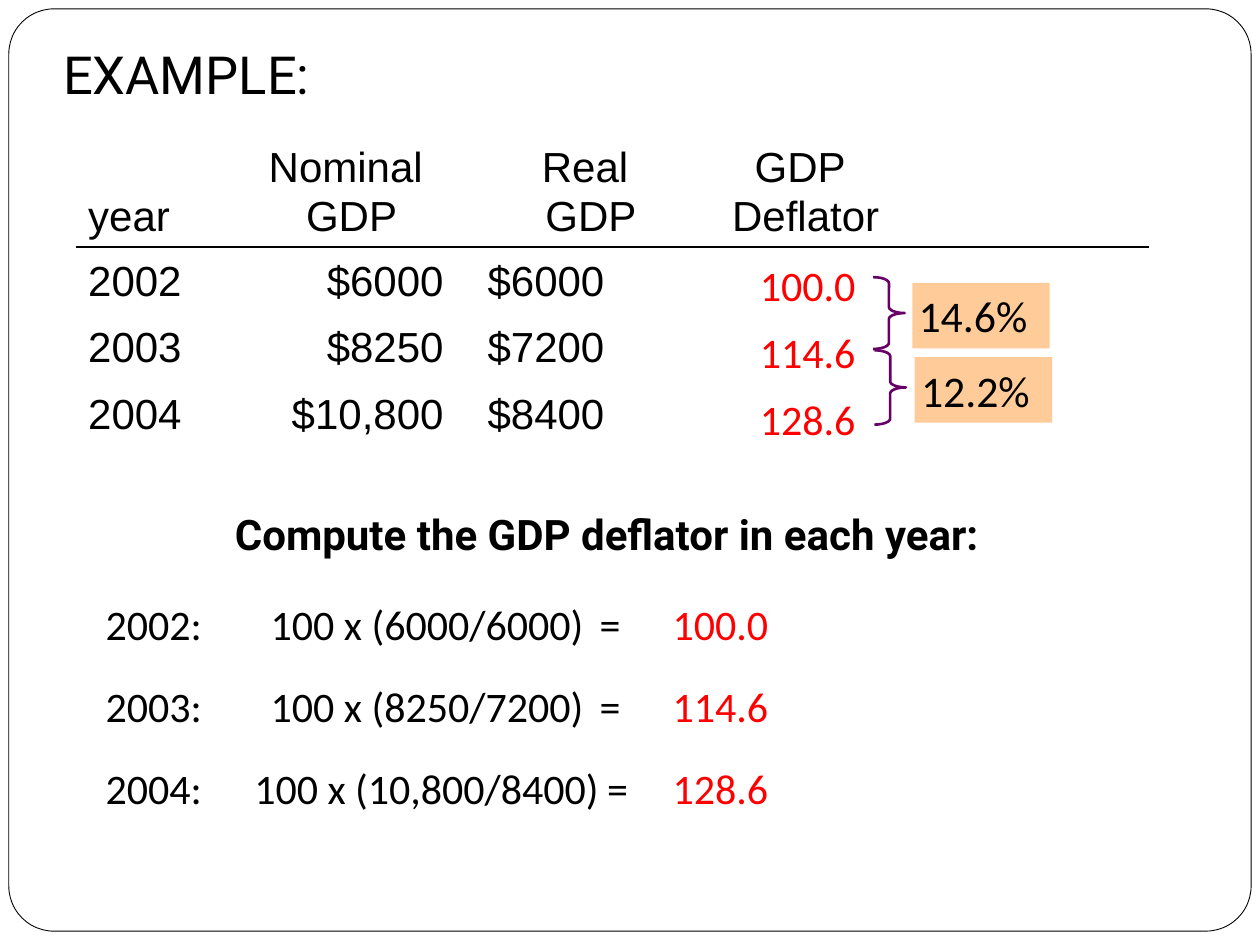
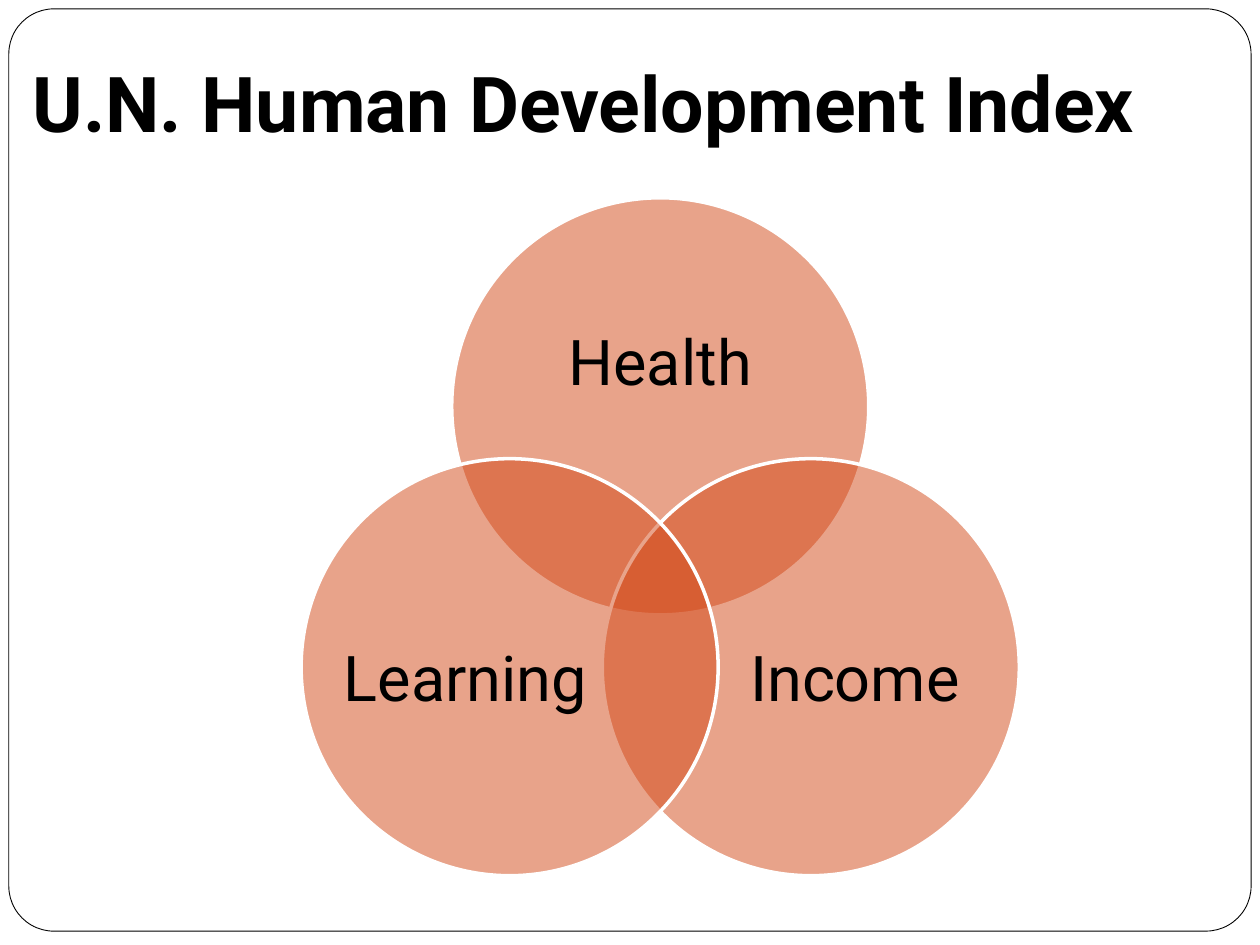
from dataclasses import dataclass
from math import cos, radians, sin

from lxml import etree
from pptx import Presentation
from pptx.dml.color import RGBColor
from pptx.enum.shapes import MSO_SHAPE
from pptx.enum.text import MSO_ANCHOR, PP_ALIGN
from pptx.oxml.ns import qn
from pptx.util import Inches, Pt

LEFT, CENTER, RIGHT = PP_ALIGN.LEFT, PP_ALIGN.CENTER, PP_ALIGN.RIGHT
TOP, MIDDLE, BOTTOM = MSO_ANCHOR.TOP, MSO_ANCHOR.MIDDLE, MSO_ANCHOR.BOTTOM
ROUNDED, RECTANGLE = MSO_SHAPE.ROUNDED_RECTANGLE, MSO_SHAPE.RECTANGLE
BRACE, OVAL = MSO_SHAPE.RIGHT_BRACE, MSO_SHAPE.OVAL


@dataclass(frozen=True)
class Theme:
    ink: str = "000000"
    paper: str = "FFFFFF"
    result: str = "FF0000"
    brace: str = "660066"
    tag: str = "FFCC99"
    circle: str = "D34817"
    heading_font: str = "Roboto"
    table_font: str = "Arial"
    body_font: str = "Calibri"
    example_size: int = 30
    index_size: int = 44
    venn_size: int = 36
    body_size: int = 24
    tag_size: int = 25
    spacing: float = 1.05
    tight_spacing: float = 0.9


THEME = Theme()
NO_TABLE_STYLE = "{2D5ABB26-0587-4C30-8999-92F81FD0307C}"
YEARS = ("2002", "2003", "2004")
DEFLATORS = ("100.0", "114.6", "128.6")


def rgb(color):
    return RGBColor.from_string(color)


def style(para, font, size, color=THEME.ink, bold=False, align=LEFT, spacing=None):
    para.font.name, para.font.size, para.font.bold = font, Pt(size), bold
    para.font.color.rgb = rgb(color)
    para.alignment = align
    if spacing:
        para.line_spacing = spacing


def set_margins(frame, margin):
    frame.margin_left = frame.margin_right = Inches(margin)
    frame.margin_top = frame.margin_bottom = Inches(margin)


def add_text(page, box, text, font, size, anchor=TOP, margin=None, **look):
    frame = page.shapes.add_textbox(*map(Inches, box)).text_frame
    frame.word_wrap = True
    frame.vertical_anchor = anchor
    if margin is not None:
        set_margins(frame, margin)
    para = frame.paragraphs[0]
    para.text = text
    style(para, font, size, **look)
    return para


def add_figure(page, kind, box, fill=None, line=None, width=1):
    figure = page.shapes.add_shape(kind, *map(Inches, box))
    figure.shadow.inherit = False
    if fill:
        figure.fill.solid()
        figure.fill.fore_color.rgb = rgb(fill)
    else:
        figure.fill.background()
    if line:
        figure.line.color.rgb = rgb(line)
        figure.line.width = Pt(width)
    else:
        figure.line.fill.background()
    return figure


def add_page(deck):
    """Add a blank slide with the rounded frame that all slides share."""
    page = deck.slides.add_slide(deck.slide_layouts[6])
    frame = add_figure(page, ROUNDED, (0.07, 0.07, 9.86, 7.32),
                       THEME.paper, THEME.ink, 0.5)
    frame.adjustments[0] = 0.049
    return page


def underline_cell(cell):
    line = etree.Element(qn("a:lnB"), w=str(Pt(1)))
    fill = etree.SubElement(line, qn("a:solidFill"))
    etree.SubElement(fill, qn("a:srgbClr"), val=THEME.ink)
    cell._tc.get_or_add_tcPr().insert(0, line)


def add_gdp_table(page, box):
    rows = [("year", "Nominal \vGDP", "Real \vGDP", "GDP \vDeflator", ""),
            ("2002", "$6000", "$6000", "", ""),
            ("2003", "$8250", "$7200", "", ""),
            ("2004", "$10,800", "$8400", "", "")]
    nominal = 1
    table = page.shapes.add_table(len(rows), len(rows[0]), *map(Inches, box)).table
    table._tbl.tblPr.find(qn("a:tableStyleId")).text = NO_TABLE_STYLE
    table.first_row = table.horz_banding = False
    for column, width in zip(table.columns, (1.21, 1.96, 1.84, 1.57, 1.94)):
        column.width = Inches(width)
    for row, height in zip(table.rows, (0.88, 0.53, 0.53, 0.53)):
        row.height = Inches(height)
    for r, values in enumerate(rows):
        for c, value in enumerate(values):
            cell = table.cell(r, c)
            cell.fill.background()
            cell.vertical_anchor = MIDDLE if r else BOTTOM
            align = LEFT
            if r == 0:
                underline_cell(cell)
                align = CENTER if c else LEFT
            elif c == nominal:
                cell.margin_right = Inches(0.25)
                align = RIGHT
            para = cell.text_frame.paragraphs[0]
            para.text = value
            style(para, THEME.table_font, THEME.body_size,
                  align=align, spacing=THEME.spacing)


def add_deflator_column(page, box):
    left, top, width, step = box
    for row, value in enumerate(DEFLATORS):
        add_text(page, (left, top + row * step, width, 0.48), value,
                 THEME.body_font, THEME.body_size, MIDDLE, color=THEME.result,
                 align=CENTER, spacing=THEME.spacing)


def add_inflation_tag(page, box, rate):
    """Draw a brace over two deflators and the tag with the rate beside it."""
    left, top, width, height = box
    brace = add_figure(page, BRACE, (left, top, 0.25, height),
                       line=THEME.brace, width=1.5)
    brace.adjustments[0] = 0.19
    tag_width, tag_height = 1.09, 0.52
    tag = add_figure(page, RECTANGLE,
                     (left + width - tag_width, top + (height - tag_height) / 2 + 0.02,
                      tag_width, tag_height), THEME.tag)
    set_margins(tag.text_frame, 0.05)
    tag.text_frame.vertical_anchor = TOP
    para = tag.text_frame.paragraphs[0]
    para.text = rate
    style(para, THEME.body_font, THEME.tag_size)


def add_tab_stops(para, stops):
    tabs = etree.Element(qn("a:tabLst"))
    for stop in stops:
        etree.SubElement(tabs, qn("a:tab"), pos=str(Inches(stop)), algn="l")
    props = para._p.get_or_add_pPr()
    props.insert(list(props).index(props.find(qn("a:defRPr"))), tabs)


def add_calculations(page, box):
    left, top, width, step = box
    formulas = [("100 x (6000/6000)", 1.31, 3.92),
                ("100 x (8250/7200)", 1.31, 3.92),
                ("100 x (10,800/8400)", 1.18, 3.98)]
    lines = zip(YEARS, formulas, DEFLATORS)
    for row, (year, (formula, formula_stop, equals_stop), value) in enumerate(lines):
        para = add_text(page, (left, top + row * step, width, 0.59),
                        f"{year}:\t{formula}\t=\t", THEME.body_font,
                        THEME.body_size, spacing=THEME.spacing)
        add_tab_stops(para, (formula_stop, equals_stop, 4.5))
        span = para.add_run()
        span.text = value
        span.font.color.rgb = rgb(THEME.result)


def add_venn(page, box):
    """Place three overlapping circles around the centre of the box."""
    left, top, width, height = box
    diameter, orbit = 3.31, 1.38
    center_x = left + width / 2
    center_y = top + diameter / 2 + orbit
    # label, angle, label offset from the circle centre, label size
    circles = [("Health", -90, (0, -0.33), (2.43, 1.49)),
               ("Income", 30, (0.35, 0.11), (1.99, 1.82)),
               ("Learning", 150, (-0.35, 0.11), (1.99, 1.82))]
    for label, angle, (shift_x, shift_y), (label_width, label_height) in circles:
        x = center_x + orbit * cos(radians(angle))
        y = center_y + orbit * sin(radians(angle))
        circle = add_figure(page, OVAL,
                            (x - diameter / 2, y - diameter / 2, diameter, diameter),
                            THEME.circle, THEME.paper, 2)
        color = circle.fill._xPr.find(qn("a:solidFill"))[0]
        etree.SubElement(color, qn("a:alpha"), val="50000")
        add_text(page, (x + shift_x - label_width / 2, y + shift_y - label_height / 2,
                        label_width, label_height), label,
                 THEME.heading_font, THEME.venn_size, MIDDLE, 0,
                 align=CENTER, spacing=THEME.tight_spacing)


def build_deflator_page(deck):
    page = add_page(deck)
    add_text(page, (0.44, 0.27, 7.38, 0.62), "EXAMPLE:",
             THEME.heading_font, THEME.example_size, BOTTOM, 0.06)
    add_text(page, (0.36, 3.99, 8.91, 0.59), "Compute the GDP deflator in each year:",
             THEME.heading_font, THEME.body_size, bold=True, align=CENTER)
    add_gdp_table(page, (0.6, 1.02, 8.52, 2.47))
    add_calculations(page, (0.74, 4.68, 6.86, 0.65))
    add_deflator_column(page, (5.8, 2.01, 1.22, 0.53))
    add_inflation_tag(page, (6.93, 2.2, 1.4, 0.57), "14.6%")
    add_inflation_tag(page, (6.94, 2.78, 1.41, 0.59), "12.2%")


def build_index_page(deck):
    page = add_page(deck)
    add_venn(page, (2.39, 1.57, 5.7, 5.38))
    add_text(page, (0.16, 0.39, 9.53, 0.84), "U.N. Human Development Index",
             THEME.heading_font, THEME.index_size, bold=True)


def main():
    deck = Presentation()
    deck.slide_width, deck.slide_height = Inches(10), Inches(7.5)
    build_deflator_page(deck)
    build_index_page(deck)
    deck.save("out.pptx")


if __name__ == "__main__":
    main()
